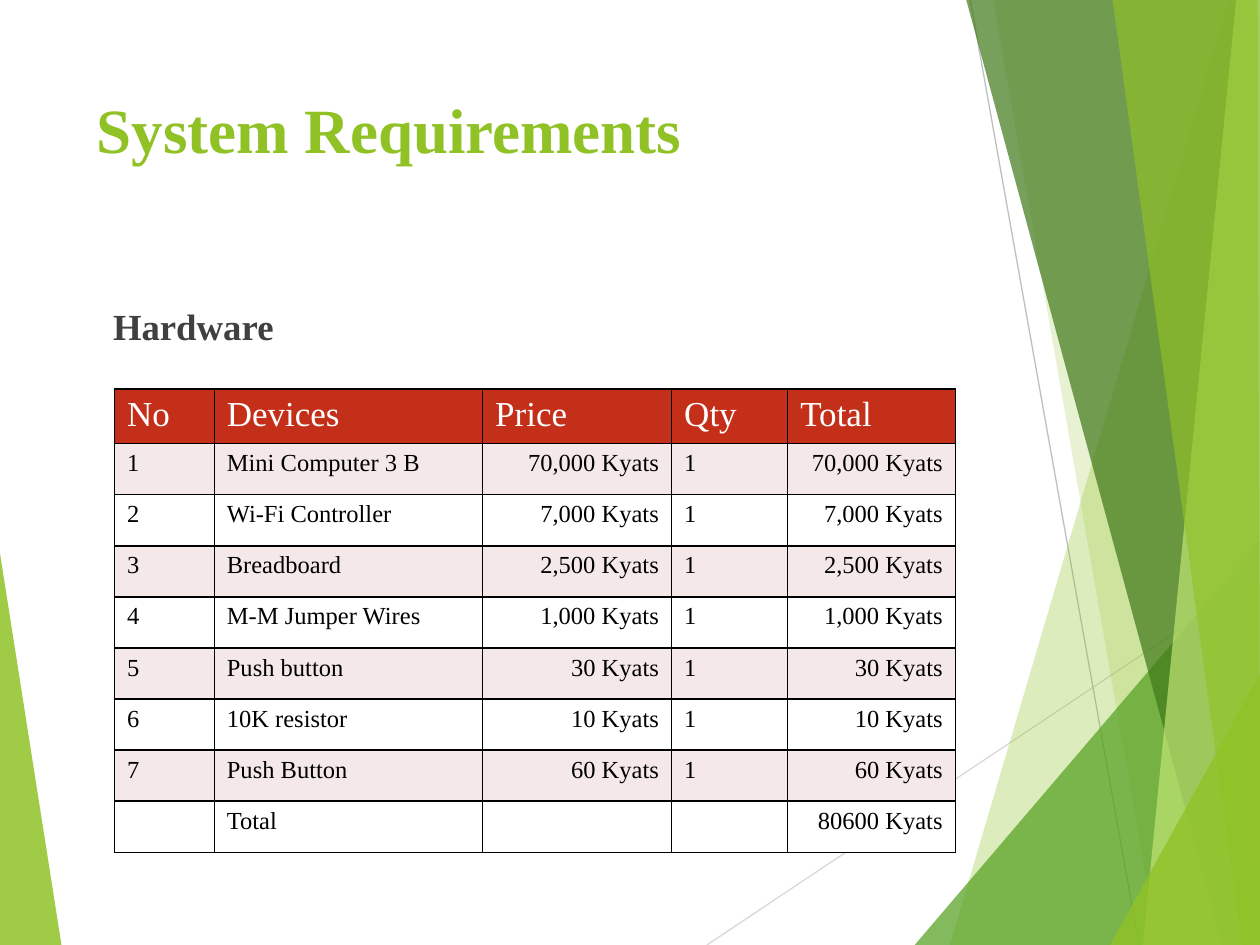
import pptx
import pptx.util
import pptx.dml.color
import pptx.enum.shapes
import pptx.enum.text
import pptx.oxml
import pptx.oxml.ns
import lxml.etree

Cm = pptx.util.Cm
Pt = pptx.util.Pt
RGBColor = pptx.dml.color.RGBColor
qn = pptx.oxml.ns.qn

FONT = "Times New Roman"
LIME = RGBColor(0x90, 0xC2, 0x26)
GREEN = RGBColor(0x54, 0xA0, 0x21)
DARK_GREEN = RGBColor(0x3F, 0x78, 0x19)
PALE_LIME = RGBColor(0xC0, 0xE4, 0x74)
LIGHT_GREY = RGBColor(0xD9, 0xD9, 0xD9)
GREY = RGBColor(0xBF, 0xBF, 0xBF)
CHARCOAL = RGBColor(0x40, 0x40, 0x40)
RED = RGBColor(0xC4, 0x2F, 0x1A)
PINK = RGBColor(0xF5, 0xE8, 0xE8)
WHITE = RGBColor(0xFF, 0xFF, 0xFF)
BLACK = RGBColor(0, 0, 0)
WIDTH, HEIGHT = 25.4, 19.05


def add_span(para, text, size, color, bold=False):
    """Add one formatted run to a paragraph."""
    span = para.add_run()
    span.text = text
    span.font.name = FONT
    span.font.size = Pt(size)
    span.font.bold = bold
    span.font.color.rgb = color


def add_borders(cell):
    """Draw a thin black line on every side of a table cell."""
    properties = cell._tc.get_or_add_tcPr()
    for position, side in enumerate(("a:lnL", "a:lnR", "a:lnT", "a:lnB")):
        line = lxml.etree.Element(qn(side), w=str(Pt(1)))
        fill = lxml.etree.SubElement(line, qn("a:solidFill"))
        lxml.etree.SubElement(fill, qn("a:srgbClr"), val=str(BLACK))
        properties.insert(position, line)


deck = pptx.Presentation()
deck.slide_width, deck.slide_height = Cm(WIDTH), Cm(HEIGHT)
page = deck.slides.add_slide(deck.slide_layouts[6])

# Thin background lines
rays = [
    (14.25, HEIGHT, WIDTH, 11.61, LIGHT_GREY),
    (19.56, 0, 22.96, HEIGHT, GREY),
]
for x1, y1, x2, y2, color in rays:
    ray = page.shapes.add_connector(
        pptx.enum.shapes.MSO_CONNECTOR.STRAIGHT, Cm(x1), Cm(y1), Cm(x2), Cm(y2))
    ray.line.color.rgb = color
    ray.line.width = Pt(0.75)
    lxml.etree.SubElement(ray._element.spPr, qn("a:effectLst"))

# Translucent facets: colour, opacity in percent, corners
corner = (WIDTH, HEIGHT)
facets = [
    (LIME, 85, [(0, 11.15), (1.24, HEIGHT), (0, HEIGHT)]),
    (LIME, 30, [(24.77, 0), (19.15, HEIGHT), corner, (WIDTH, 0)]),
    (LIME, 20, [(20.02, 0), (23.34, HEIGHT), corner, (WIDTH, 0)]),
    (GREEN, 72, [(18.44, HEIGHT), (WIDTH, 10.9), corner]),
    (DARK_GREEN, 70, [(19.48, 0), (24.64, HEIGHT), corner, (WIDTH, 0)]),
    (PALE_LIME, 70, [(24.92, 0), (23.04, HEIGHT), corner, (WIDTH, 0)]),
    (LIME, 65, [(22.43, 0), (25.04, HEIGHT), corner, (25.35, 0)]),
    (LIME, 80, [(22.38, HEIGHT), (WIDTH, 13.59), corner]),
]
for color, opacity, corners in facets:
    points = [(Cm(x), Cm(y)) for x, y in corners]
    outline = page.shapes.build_freeform(*points[0])
    outline.add_line_segments(points[1:], close=True)
    facet = outline.convert_to_shape()
    facet.shadow.inherit = False
    facet.line.fill.background()
    facet.fill.solid()
    facet.fill.fore_color.rgb = color
    tint = facet._element.spPr.find(".//" + qn("a:srgbClr"))
    lxml.etree.SubElement(tint, qn("a:alpha"), val=str(opacity * 1000))

# Title and subheading: text, top, height, size, colour, indent, space before
headings = [
    ("System Requirements", 1.7, 3.66, 36, LIME, 0, 0),
    ("Hardware", 5.99, 1.5, 21, CHARCOAL, 0.33, 10),
]
for text, top, height, size, color, indent, space in headings:
    box = page.shapes.add_textbox(Cm(1.7), Cm(top), Cm(17.63), Cm(height))
    box.text_frame.word_wrap = True
    para = box.text_frame.paragraphs[0]
    para.space_before = Pt(space)
    para._p.get_or_add_pPr().set("marL", str(Cm(indent)))
    add_span(para, text, size, color, bold=True)

# Hardware price table
rows = [
    ("No", "Devices", "Price", "Qty", "Total"),
    ("1", "Mini Computer 3 B", "70,000 Kyats", "1", "70,000 Kyats"),
    ("2", "Wi-Fi Controller", "7,000 Kyats", "1", "7,000 Kyats"),
    ("3", "Breadboard", "2,500 Kyats", "1", "2,500 Kyats"),
    ("4", "M-M Jumper Wires", "1,000 Kyats", "1", "1,000 Kyats"),
    ("5", "Push button", "30 Kyats", "1", "30 Kyats"),
    ("6", "10K resistor", "10 Kyats", "1", "10 Kyats"),
    ("7", "Push Button", "60 Kyats", "1", "60 Kyats"),
    ("", "Total", "", "", "80600 Kyats"),
]
column_widths = [2.01, 5.41, 3.81, 2.34, 3.38]
row_height = 1.03
money_columns = (2, 4)
table = page.shapes.add_table(
    len(rows), len(column_widths), Cm(2.31), Cm(7.84),
    Cm(sum(column_widths)), Cm(row_height * len(rows))).table
for column, width in zip(table.columns, column_widths):
    column.width = Cm(width)
for row_index, row in enumerate(rows):
    table.rows[row_index].height = Cm(row_height)
    header = row_index == 0
    band = RED if header else PINK if row_index % 2 else WHITE
    for column_index, text in enumerate(row):
        cell = table.cell(row_index, column_index)
        cell.fill.solid()
        cell.fill.fore_color.rgb = band
        add_borders(cell)
        if text:
            para = cell.text_frame.paragraphs[0]
            if column_index in money_columns and not header:
                para.alignment = pptx.enum.text.PP_ALIGN.RIGHT
            add_span(para, text, 20 if header else 14, WHITE if header else BLACK)

deck.save("out.pptx")
